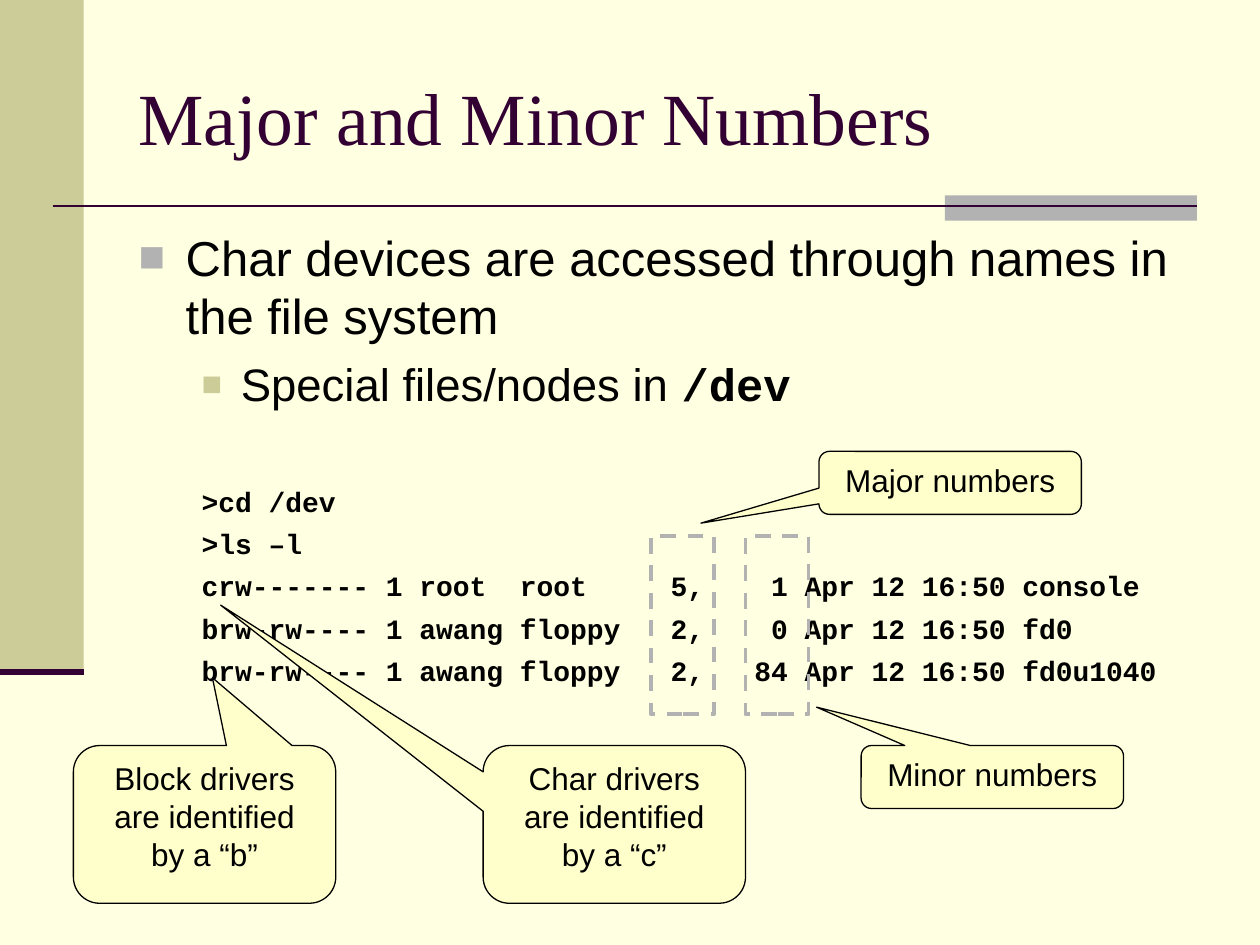
from lxml import etree
from pptx import Presentation
from pptx import util as u
from pptx.dml.color import RGBColor
from pptx.enum import dml, shapes, text
from pptx.oxml.ns import qn

COLORS = {
    "background": "FFFFE1", "olive": "CCCC99", "gray": "B2B2B2",
    "plum": "330033", "callout": "FFFFCC", "black": "000000",
}
LISTING = [
    ">cd /dev",
    ">ls –l",
    "crw------- 1 root  root     5,    1 Apr 12 16:50 console",
    "brw-rw---- 1 awang floppy   2,    0 Apr 12 16:50 fd0",
    "brw-rw---- 1 awang floppy   2,   84 Apr 12 16:50 fd0u1040",
]
# Text, left, top, height in cm, then the pointer tip as shares of the size
CALLOUTS = [
    ("Char drivers are identified by a “c”", 9.74, 15.03, 3.18, -1.5, -1.39),
    ("Block drivers are identified by a “b”", 1.48, 15.03, 3.18, 0.03, -0.93),
    ("Major numbers", 16.51, 9.1, 1.27, -0.95, 0.64),
    ("Minor numbers", 17.36, 15.03, 1.27, -0.67, -1.11),
]


def rgb(name):
    return RGBColor.from_string(COLORS[name])


def add_text(paragraph, content, size, font="Arial", color="black", bold=False):
    run = paragraph.add_run()
    run.text = content
    run.font.size = u.Pt(size)
    run.font.name = font
    run.font.bold = bold
    run.font.color.rgb = rgb(color)


def set_bullet(paragraph, margin, hanging, color=None, percent=100):
    """Indent a paragraph (cm); without a colour it gets no bullet."""
    properties = paragraph._p.get_or_add_pPr()
    properties.set("marL", str(u.Cm(margin)))
    properties.set("indent", str(-u.Cm(hanging)))
    if color is None:
        etree.SubElement(properties, qn("a:buNone"))
        return
    bullet_color = etree.SubElement(properties, qn("a:buClr"))
    etree.SubElement(bullet_color, qn("a:srgbClr"), val=COLORS[color])
    etree.SubElement(properties, qn("a:buSzPct"), val=str(percent * 1000))
    etree.SubElement(properties, qn("a:buFont"), typeface="Arial")
    etree.SubElement(properties, qn("a:buChar"), char="■")


def place(shape, left, top, width, height):
    shape.left, shape.top = u.Cm(left), u.Cm(top)
    shape.width, shape.height = u.Cm(width), u.Cm(height)


def add_box(slide, kind, left, top, width, height, fill=None, line=None, weight=0.75):
    shape = slide.shapes.add_shape(
        kind, u.Cm(left), u.Cm(top), u.Cm(width), u.Cm(height))
    shape.shadow.inherit = False
    if fill:
        shape.fill.solid()
        shape.fill.fore_color.rgb = rgb(fill)
    else:
        shape.fill.background()
    if line:
        shape.line.color.rgb = rgb(line)
        shape.line.width = u.Pt(weight)
    else:
        shape.line.fill.background()
    return shape


def add_rule(slide, left, right, y, weight):
    rule = slide.shapes.add_connector(
        shapes.MSO_CONNECTOR.STRAIGHT, u.Cm(left), u.Cm(y), u.Cm(right), u.Cm(y))
    rule.line.color.rgb = rgb("plum")
    rule.line.width = u.Pt(weight)
    etree.SubElement(rule._element.spPr, qn("a:effectLst"))


def add_callout(slide, content, left, top, height, tip_x, tip_y):
    callout = add_box(slide, shapes.MSO_SHAPE.ROUNDED_RECTANGULAR_CALLOUT,
                      left, top, 5.29, height, "callout", "black")
    callout.adjustments[0] = tip_x
    callout.adjustments[1] = tip_y
    frame = callout.text_frame
    frame.word_wrap = True
    frame.vertical_anchor = text.MSO_ANCHOR.TOP
    frame.paragraphs[0].alignment = text.PP_ALIGN.CENTER
    add_text(frame.paragraphs[0], content, 18)


def add_decoration(slide):
    rectangle = shapes.MSO_SHAPE.RECTANGLE
    add_box(slide, rectangle, 0, 0, 1.69, 13.55, "olive")
    add_box(slide, rectangle, 19.05, 3.94, 5.08, 0.51, "gray")
    add_rule(slide, 1.06, 24.13, 4.15, 1.5)
    add_rule(slide, 0, 1.69, 13.55, 3.5)


def fill_title(title):
    place(title, 2.54, 0.76, 21.59, 3.18)
    frame = title.text_frame
    frame.auto_size = text.MSO_AUTO_SIZE.NONE
    frame.vertical_anchor = text.MSO_ANCHOR.MIDDLE
    frame.paragraphs[0].alignment = text.PP_ALIGN.LEFT
    add_text(frame.paragraphs[0], "Major and Minor Numbers", 42,
             font="Times New Roman", color="plum")


def fill_body(body):
    place(body, 2.54, 4.45, 21.59, 12.57)
    frame = body.text_frame
    frame.auto_size = text.MSO_AUTO_SIZE.NONE

    paragraph = frame.paragraphs[0]
    paragraph.space_before = u.Pt(7)
    set_bullet(paragraph, 0.95, 0.95, "gray", 90)
    add_text(paragraph, "Char devices are accessed through names in the file system", 28)

    paragraph = frame.add_paragraph()
    paragraph.level = 1
    paragraph.space_before = u.Pt(6.5)
    set_bullet(paragraph, 2.06, 0.79, "olive", 75)
    add_text(paragraph, "Special files/nodes in ", 26)
    add_text(paragraph, "/dev", 26, font="Courier New", bold=True)

    # Terminal listing, set apart from the bullets by a wide gap
    for index, line in enumerate(LISTING):
        paragraph = frame.add_paragraph()
        paragraph.level = 1
        paragraph.space_before = u.Pt(5 if index else 42)
        set_bullet(paragraph, 2.06, 0.79)
        add_text(paragraph, line, 16, font="Courier New", bold=True)


def main():
    presentation = Presentation()
    presentation.slide_width, presentation.slide_height = u.Cm(25.4), u.Cm(19.05)
    slide = presentation.slides.add_slide(presentation.slide_layouts[1])
    slide.background.fill.solid()
    slide.background.fill.fore_color.rgb = rgb("background")

    # Decoration lies behind the placeholders
    title, body = slide.placeholders
    add_decoration(slide)
    for placeholder in (title, body):
        slide.shapes._spTree.append(placeholder._element)
    fill_title(title)
    fill_body(body)

    # Callouts, and dashed frames around the two number columns
    for callout in CALLOUTS:
        add_callout(slide, *callout)
    for left in (13.12, 15.03):
        frame = add_box(slide, shapes.MSO_SHAPE.RECTANGLE, left, 10.8, 1.27, 3.6,
                        line="gray", weight=2.25)
        frame.line.dash_style = dml.MSO_LINE.DASH

    presentation.save("out.pptx")


if __name__ == "__main__":
    main()
